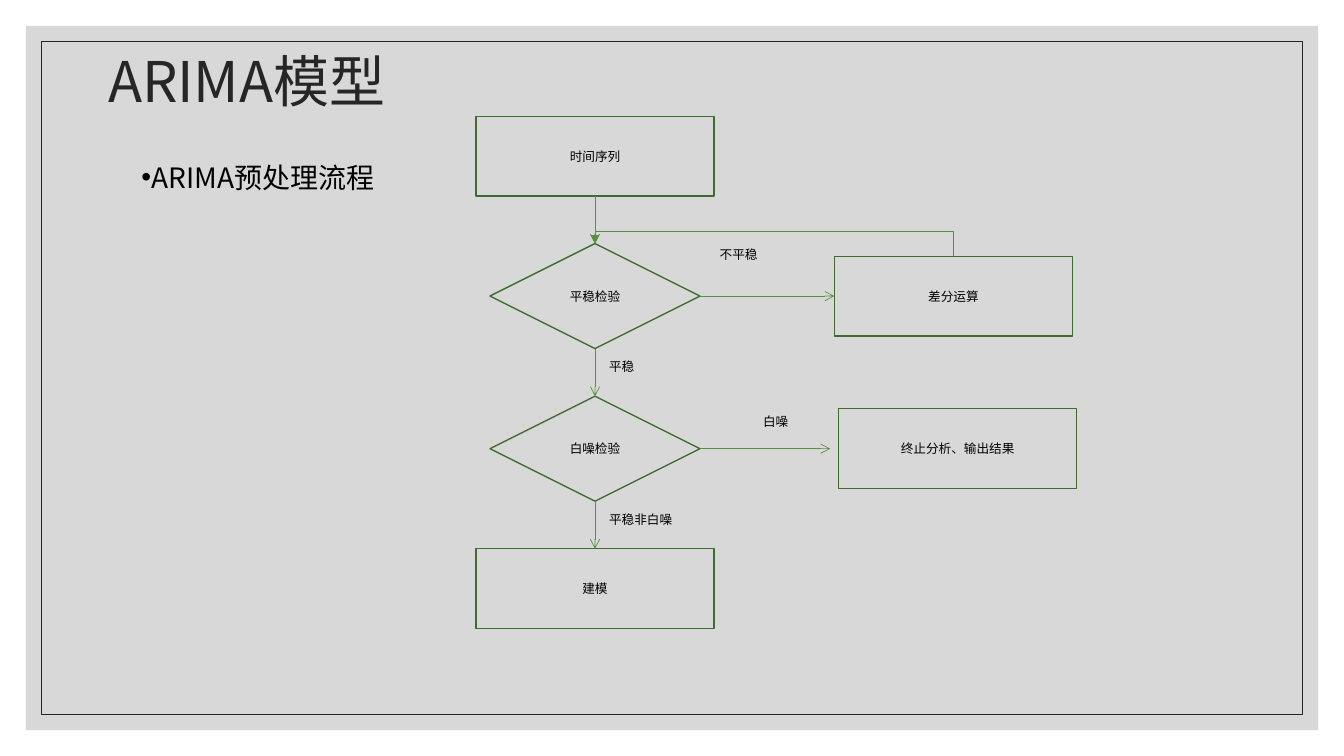
from lxml.etree import SubElement as Sub
from pptx import Presentation
from pptx.dml.color import RGBColor
from pptx.enum.shapes import MSO_CONNECTOR as Link, MSO_SHAPE as Form
from pptx.enum.text import MSO_ANCHOR as Anchor, PP_ALIGN as Align
from pptx.oxml.ns import qn
from pptx.util import Pt

FONT = "Noto Sans CJK SC"
GRAY = RGBColor(0xBF, 0xBF, 0xBF)
DARK = RGBColor(0x26, 0x26, 0x26)
BLACK = RGBColor(0, 0, 0)
EDGE = RGBColor(0x40, 0x6B, 0x2F)
GREEN = RGBColor(0x57, 0x90, 0x3F)
BOX = (170, 57)
GEM = (150, 75)
GAP = 34


def write(para, text, size, color=BLACK):
    run = para.add_run()
    run.text = text
    font = run.font
    font.size = Pt(size)
    font.name = FONT
    font.color.rgb = color
    Sub(font._element, qn("a:ea"), typeface=FONT)


def place(slide, form, box, color=None, width=1):
    shape = slide.shapes.add_shape(form, *map(Pt, box))
    shape.shadow.inherit = False
    shape.fill.background()
    if color is None:
        shape.line.fill.background()
    else:
        shape.line.color.rgb = color
        shape.line.width = Pt(width)
    return shape


def frame(slide, box):
    x, y, w, h = box
    panel = place(slide, Form.RECTANGLE, box)
    panel.fill.solid()
    panel.fill.fore_color.rgb = GRAY
    tint = panel._element.spPr.find(".//" + qn("a:srgbClr"))
    Sub(tint, qn("a:alpha"), val="60000")
    rim = place(slide, Form.RECTANGLE, (x + 11, y + 11, w - 22, h - 22), DARK, 0.5)
    tree = slide.shapes._spTree
    for spot, part in enumerate((panel, rim), 2):
        tree.insert(spot, part._element)


def head(slide, box):
    title = slide.shapes.title
    title.left, title.top, title.width, title.height = map(Pt, box)
    title.text_frame.vertical_anchor = Anchor.MIDDLE
    para = title.text_frame.paragraphs[0]
    para.alignment = Align.LEFT
    para.line_spacing = 0.9
    write(para, "ARIMA模型", 40, DARK)


def label(slide, text, box, size=9):
    frame = slide.shapes.add_textbox(*map(Pt, box)).text_frame
    frame.word_wrap = True
    para = frame.paragraphs[0]
    write(para, text, size)
    return para


def point(slide, box):
    para = label(slide, "ARIMA预处理流程", box, 20)
    props = para._p.get_or_add_pPr()
    props.set("marL", str(Pt(36)))
    props.set("indent", str(Pt(28)))
    Sub(props, qn("a:buFont"), typeface="Arial")
    Sub(props, qn("a:buChar"), char="•")
    para.line_spacing = 1.5


def node(slide, text, form, mid, top, size):
    w, h = size
    shape = place(slide, form, (mid - w / 2, top, w, h), EDGE)
    frame = shape.text_frame
    frame.vertical_anchor = Anchor.MIDDLE
    para = frame.paragraphs[0]
    para.alignment = Align.CENTER
    write(para, text, 9)
    return shape


def wire(slide, kind, ends, tip="arrow"):
    line = slide.shapes.add_connector(kind, *map(Pt, ends))
    line.line.color.rgb = GREEN
    line.line.width = Pt(0.5)
    Sub(line.line._get_or_add_ln(), qn("a:tailEnd"), type=tip)
    Sub(line._element.spPr, qn("a:effectLst"))
    return line


def loop(slide, start, end, rise):
    (x1, y1), (x2, y2) = start, end
    mx, my = (x1 + x2) / 2, (y1 + y2) / 2
    dx, dy = (y1 - y2) / 2, (x1 - x2) / 2
    line = wire(slide, Link.ELBOW, (mx - dx, my + dy, mx + dx, my - dy), "triangle")
    props = line._element.spPr
    props.find(qn("a:xfrm")).set("rot", "16200000")
    guides = props.find(".//" + qn("a:avLst"))
    ratio = round(rise / (y1 - y2) * 100000)
    Sub(guides, qn("a:gd"), name="adj1", fmla=f"val {ratio}")


def flow(slide, x, y):
    mid = x + BOX[0] / 2
    steps = [
        ("时间序列", Form.RECTANGLE, BOX, ""),
        ("平稳检验", Form.DIAMOND, GEM, "平稳"),
        ("白噪检验", Form.DIAMOND, GEM, "平稳非白噪"),
        ("建模", Form.RECTANGLE, BOX, ""),
    ]
    tops, nodes = [], []
    top = y
    for text, form, size, note in steps:
        nodes.append(node(slide, text, form, mid, top, size))
        tops.append(top)
        top += size[1] + GAP
        if note:
            label(slide, note, (mid + 3, top - GAP + 4, 100, 18))
    for above, below in zip(nodes, nodes[1:]):
        line = wire(slide, Link.STRAIGHT, (mid, y, mid, y))
        line.begin_connect(above, 2)
        line.end_connect(below, 0)

    sides = [
        ("差分运算", "不平稳", 256, 256, (82, -1)),
        ("终止分析、输出结果", "白噪", 259, 253, (113, 9)),
    ]
    for top, (text, note, far, stop, shift) in zip(tops[1:], sides):
        row = top + GEM[1] / 2
        node(slide, text, Form.RECTANGLE, mid + far, row - BOX[1] / 2, BOX)
        wire(slide, Link.STRAIGHT, (mid + GEM[0] / 2, row, mid + stop - BOX[0] / 2, row))
        label(slide, note, (mid + shift[0], top + shift[1], 64, 18))
    roof = tops[1] + (GEM[1] - BOX[1]) / 2
    loop(slide, (mid + 256, roof), (mid, tops[1]), 17.5)


def main():
    deck = Presentation()
    deck.slide_width, deck.slide_height = Pt(960), Pt(540)
    slide = deck.slides.add_slide(deck.slide_layouts[5])
    frame(slide, (18.5, 18.5, 923, 503))
    head(slide, (70, 32, 780, 56))
    flow(slide, 340, 83)
    point(slide, (30, 99, 285, 54))
    deck.save("out.pptx")


if __name__ == "__main__":
    main()
